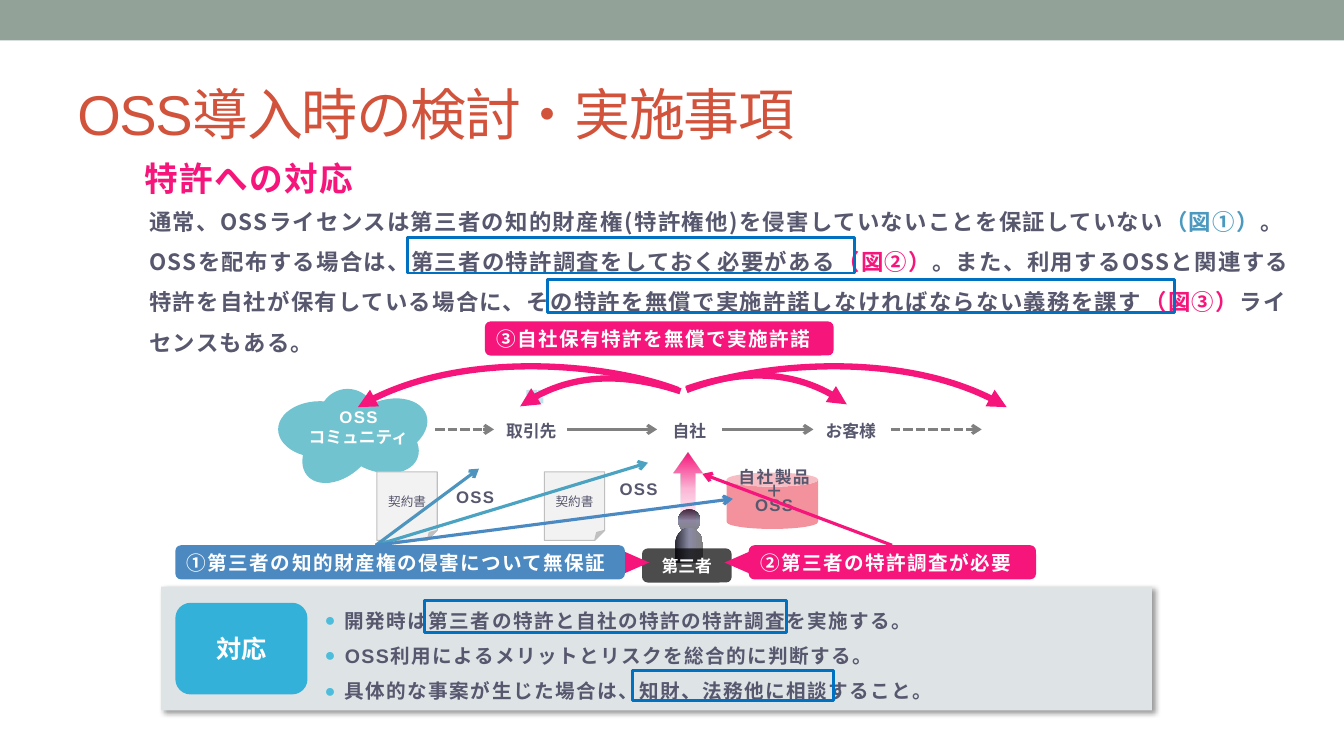
from dataclasses import dataclass
from typing import NamedTuple, Optional

from lxml.etree import SubElement
from pptx import Presentation
from pptx.dml.color import RGBColor
from pptx.enum.dml import MSO_LINE
from pptx.enum.shapes import MSO_CONNECTOR, MSO_SHAPE as Preset
from pptx.enum.text import MSO_ANCHOR as Anchor, MSO_AUTO_SIZE as AutoSize, PP_ALIGN as Align
from pptx.oxml.ns import qn
from pptx.util import Cm, Pt

COLORS = {
    "bar": "93A299", "title": "D2533C", "pink": "F6167B", "text": "57576E",
    "white": "FFFFFF", "black": "000000", "panel": "DEE4E6", "tag": "33B1D9",
    "bullet": "4DBDDB", "figure": "4C99C0", "window": "C2E2EC", "cloud": "72C3D0",
    "grey": "808080", "paper": "F2F2F2", "paper edge": "BFBFBF", "can": "F3919D",
    "night": "292934", "mauve": "8A8AA3", "blue": "4C89C0", "frame": "0070C0",
    "teal arrow": "4BA2C1", "sky arrow": "4D94BF", "blue arrow": "4A89C2",
}
LATIN, JAPANESE = "Arial", "Noto Sans CJK JP"


class Box(NamedTuple):
    left: float
    top: float
    width: float
    height: float


class Span(NamedTuple):
    text: str
    color: Optional[str] = None
    spacing: Optional[float] = None


class Stop(NamedTuple):
    position: int
    color: str
    alpha: int = 100


@dataclass
class Arrow:
    start: tuple
    end: tuple
    color: str = "grey"
    dashed: bool = False


@dataclass
class Label:
    text: str
    box: Box
    fill: str


def rgb(name):
    return RGBColor.from_string(COLORS[name])


def lengths(values):
    return [Cm(value) for value in values]


def write(shape, lines, *, size, color="text", font=LATIN, bold=True, spacing=0, align=Align.LEFT,
          anchor=Anchor.TOP, insets=(0.25, 0.13), wrap=True, line=None, after=0, bullet=False):
    """Each line is a string or a list of Span; insets are (sides, top and bottom) in cm."""
    frame = shape.text_frame
    frame.auto_size, frame.word_wrap, frame.vertical_anchor = AutoSize.NONE, wrap, anchor
    frame.margin_left = frame.margin_right = Cm(insets[0])
    frame.margin_top = frame.margin_bottom = Cm(insets[1])
    for number, content in enumerate(lines):
        para = frame.add_paragraph() if number else frame.paragraphs[0]
        if bullet:
            add_bullet(para)
        para.alignment, para.line_spacing = align, line
        para.space_before, para.space_after = Pt(0), Pt(after)
        for span in [Span(content)] if isinstance(content, str) else content:
            run = para.add_run()
            run.text = span.text
            run.font.size, run.font.bold, run.font.name = Pt(size), bold, font
            run.font.color.rgb = rgb(span.color or color)
            properties = run.font._element
            tracking = spacing if span.spacing is None else span.spacing
            properties.set("spc", str(round(tracking * 100)))
            SubElement(properties, qn("a:ea"), typeface=JAPANESE)


def add_bullet(para):
    properties = para._p.get_or_add_pPr()
    properties.set("marL", str(Cm(0.51)))
    properties.set("indent", str(-Cm(0.51)))
    SubElement(SubElement(properties, qn("a:buClr")), qn("a:srgbClr"), val=COLORS["bullet"])
    SubElement(properties, qn("a:buSzPct"), val="93000")
    SubElement(properties, qn("a:buFont"), typeface=LATIN)
    SubElement(properties, qn("a:buChar"), char="●")


def add_shape(shapes, preset, box, fill=None, *, alpha=100, line=None, width=0.75, rotation=0, adjust=()):
    shape = shapes.add_shape(preset, *lengths(box))
    shape.shadow.inherit = False
    shape.rotation = rotation
    for index, value in enumerate(adjust):
        shape.adjustments[index] = value
    if fill:
        shape.fill.solid()
        shape.fill.fore_color.rgb = rgb(fill)
        if alpha < 100:
            color = next(shape.element.spPr.iter(qn("a:srgbClr")))
            SubElement(color, qn("a:alpha"), val=str(alpha * 1000))
    else:
        shape.fill.background()
    if line:
        shape.line.color.rgb, shape.line.width = rgb(line), Pt(width)
    else:
        shape.line.fill.background()
    return shape


def add_text(shapes, box, lines, **style):
    write(shapes.add_textbox(*lengths(box)), lines, **style)


def fill_gradient(shape, stops):
    """Fill from top to bottom through any number of stops, each with its own opacity."""
    shape.fill.gradient()
    gradient = shape.element.spPr.find(qn("a:gradFill"))
    gradient.find(qn("a:lin")).set("ang", str(90 * 60000))
    stop_list = gradient.find(qn("a:gsLst"))
    for old in list(stop_list):
        stop_list.remove(old)
    for stop in stops:
        item = SubElement(stop_list, qn("a:gs"), pos=str(stop.position * 1000))
        color = SubElement(item, qn("a:srgbClr"), val=COLORS[stop.color])
        SubElement(color, qn("a:alpha"), val=str(stop.alpha * 1000))


def format_arrow(shape, color, width, head, dashed=False):
    shape.line.color.rgb, shape.line.width = rgb(color), Pt(width)
    if dashed:
        shape.line.dash_style = MSO_LINE.SQUARE_DOT
    SubElement(shape.line._get_or_add_ln(), qn("a:tailEnd"), type=head)


def add_arrow(shapes, arrow):
    connector = shapes.add_connector(MSO_CONNECTOR.STRAIGHT, *lengths(arrow.start + arrow.end))
    format_arrow(connector, arrow.color, 2.25, "arrow", arrow.dashed)
    SubElement(connector.element.spPr, qn("a:effectLst"))


def add_curve(shapes, start, *controls_and_end):
    """Draw one Bézier arrow by joining three straight segments into a cubic one."""
    builder = shapes.build_freeform(*lengths(start), scale=1.0)
    builder.add_line_segments([lengths(point) for point in controls_and_end], close=False)
    curve = builder.convert_to_shape()
    curve.shadow.inherit = False
    curve.fill.background()
    outline = next(curve.element.iter(qn("a:path")))
    segments = outline.findall(qn("a:lnTo"))
    cubic = SubElement(outline, qn("a:cubicBezTo"))
    for segment in segments:
        cubic.append(segment[0])
        outline.remove(segment)
    format_arrow(curve, "pink", 4.5, "triangle")


def add_heading_and_body(slide):
    shapes, title = slide.shapes, slide.shapes.title
    add_shape(shapes, Preset.RECTANGLE, Box(0, 0, 33.87, 1.02), "bar")
    title.left, title.top, title.width, title.height = lengths(Box(1.7, 1.47, 30.48, 2.74))
    write(title, ["OSS導入時の検討・実施事項"], size=40, color="title", bold=False, spacing=-1, anchor=Anchor.MIDDLE)
    add_text(shapes, Box(3.4, 3.86, 5.87, 1.27), ["特許への対応"], size=24, color="pink", spacing=1, wrap=False)
    add_text(shapes, Box(3.76, 4.8, 28.85, 1.93), [[
        Span("通常、OSSライセンスは第三者の知的財産権(特許権他)を侵害していないことを保証していない"),
        Span("（図①）", "figure"),
        Span("。OSSを配布する場合は、第三者の特許調査をしておく必要がある"),
        Span("（図②）", "pink"),
        Span("。また、利用するOSSと関連する特許を自社が保有している場合に、"
             "その特許を無償で実施許諾しなければならない義務を課す"),
        Span("（図③）", "pink"), Span("ライセンスもある。"),
    ]], size=16, font=JAPANESE, spacing=1, insets=(0, 0.1), line=1.5)


def add_response(slide):
    shapes, actions = slide.shapes, slide.placeholders[1]
    panel = add_shape(shapes, Preset.RECTANGLE, Box(4.06, 14.78, 24.97, 3.12), "panel")
    effects = panel.element.spPr.find(qn("a:effectLst"))
    shadow = SubElement(effects, qn("a:outerShdw"), blurRad=str(Pt(4)), dist=str(Pt(3)), dir=str(45 * 60000))
    SubElement(SubElement(shadow, qn("a:srgbClr"), val=COLORS["black"]), qn("a:alpha"), val="40000")
    tag = add_shape(shapes, Preset.ROUNDED_RECTANGLE, Box(4.42, 15.19, 3.33, 2.31), "tag")
    write(tag, ["対応"], size=18, color="white", align=Align.CENTER, anchor=Anchor.MIDDLE, insets=(0.3, 0))
    tag.element.addnext(actions.element)
    actions.left, actions.top, actions.width, actions.height = lengths(Box(8.18, 15.04, 18.8, 2.84))
    write(actions, ["開発時は第三者の特許と自社の特許の特許調査を実施する。",
                    "OSS利用によるメリットとリスクを総合的に判断する。",
                    "具体的な事案が生じた場合は、知財、法務他に相談すること。"],
          size=14, spacing=1, insets=(0, 0), line=1.5, bullet=True)


def add_supply_chain(shapes):
    centred = dict(align=Align.CENTER, anchor=Anchor.MIDDLE, insets=(0, 0))
    small = dict(size=12, spacing=1, align=Align.CENTER)
    for row in range(2):
        for column in range(3):
            window = Box(13.26 + 0.15 * column, 9.83 + 0.2 * row, 0.14, 0.13)
            add_shape(shapes, Preset.TRAPEZOID, window, "window", rotation=270, adjust=[0.02])
    for left, top, width, rotation in [(8.05, 9.8, 1.42, 0), (7.01, 10.11, 2.11, 0), (8.69, 10.08, 2.11, 341.8),
                                       (8.48, 10.46, 2.11, 20.3), (7.49, 10.59, 2.11, 319.5)]:
        add_shape(shapes, Preset.OVAL, Box(left, top, width, 1.42), "cloud", rotation=rotation)
    add_text(shapes, Box(7.09, 10.11, 3.89, 1.27), ["OSS", [Span("コミュニティ", spacing=0)]], color="white", **small)
    for party, left, width in [("取引先", 12.45, 1.88), ("自社", 16.56, 1.63), ("お客様", 20.5, 1.88)]:
        box = Box(left, 10.49, width, 0.74)
        write(add_shape(shapes, Preset.ROUNDED_RECTANGLE, box, "white", alpha=89), [party],
              size=12, font=JAPANESE, **centred)
    for left, right, dashed in [(10.97, 12.45, True), (14.3, 16.56, False), (18.19, 20.5, False), (22.45, 24.74, True)]:
        add_arrow(shapes, Arrow((left, 10.82), (right, 10.82), dashed=dashed))
    for left, note in [(9.5, Box(10.97, 12.29, 2.01, 0.61)), (13.72, Box(15.09, 12.09, 2.01, 0.61))]:
        contract = add_shape(shapes, Preset.FOLDED_CORNER, Box(left, 11.89, 1.52, 1.73), "paper", line="paper edge")
        write(contract, ["契約書"], size=9, bold=False, **centred)
        add_text(shapes, note, ["OSS"], line=Pt(10), **small)
    add_shape(shapes, Preset.CAN, Box(18.31, 11.91, 2.31, 1.42), "can")
    add_text(shapes, Box(17.68, 11.79, 3.66, 1.32), ["自社製品", "＋", "OSS"], line=Pt(10), **small)
    add_curve(shapes, (17.15, 9.86), (16.05, 9.5), (14.45, 9.27), (13.11, 10.24))
    add_curve(shapes, (17.09, 9.83), (15.44, 9.19), (11.51, 8.76), (9.02, 10.26))
    add_curve(shapes, (17.3, 9.8), (18.39, 9.42), (19.99, 9.19), (21.34, 10.19))
    add_curve(shapes, (17.3, 9.83), (18.95, 9.19), (22.89, 8.76), (25.37, 10.26))


def add_third_party(shapes):
    head = add_shape(shapes, Preset.OVAL, Box(17.09, 12.83, 0.56, 0.58))
    torso = add_shape(shapes, Preset.FLOWCHART_DELAY, Box(16.92, 13.39, 0.89, 0.71), rotation=270)
    for part in (head, torso):
        fill_gradient(part, [Stop(0, "night"), Stop(50, "mauve"), Stop(100, "grey")])
    name = add_shape(shapes, Preset.ROUNDED_RECTANGLE, Box(16.18, 13.82, 2.26, 0.86), "black", alpha=70)
    write(name, ["第三者"], size=12, color="white", align=Align.CENTER, anchor=Anchor.MIDDLE, after=3)
    claim = add_shape(shapes, Preset.UP_ARROW, Box(16.97, 11.4, 0.74, 1.83), adjust=[0.5, 0.72])
    fill_gradient(claim, [Stop(0, "pink"), Stop(50, "pink", 31), Stop(100, "pink", 0)])


def add_callouts(shapes):
    origin = (9.47, 13.74)
    for arrow in [Arrow(origin, (16.33, 11.66), "teal arrow"), Arrow(origin, (12.07, 11.81), "sky arrow"),
                  Arrow(origin, (18.47, 12.57), "blue arrow")]:
        add_arrow(shapes, arrow)
    for left, rotation in [(15.6, 90), (18.31, 270)]:
        add_shape(shapes, Preset.ISOSCELES_TRIANGLE, Box(left, 13.77, 0.71, 0.81), "pink", rotation=rotation)
    for label in [Label("③自社保有特許を無償で実施許諾", Box(12.22, 8.1, 8.79, 0.86), "pink"),
                  Label("②第三者の特許調査が必要", Box(18.87, 13.74, 7.24, 0.86), "pink"),
                  Label("①第三者の知的財産権の侵害について無保証", Box(4.42, 13.74, 11.33, 0.86), "blue")]:
        plate = add_shape(shapes, Preset.ROUNDED_RECTANGLE, label.box, label.fill)
        write(plate, [label.text], size=14, color="white", spacing=1, anchor=Anchor.MIDDLE)
    add_arrow(shapes, Arrow((22.48, 13.74), (17.7, 11.94), "pink"))


def main():
    deck = Presentation()
    deck.slide_width, deck.slide_height = Cm(33.87), Cm(19.05)
    slide = deck.slides.add_slide(deck.slide_layouts[1])
    add_heading_and_body(slide)
    add_response(slide)
    add_supply_chain(slide.shapes)
    add_third_party(slide.shapes)
    add_callouts(slide.shapes)
    for frame in [Box(10.26, 5.99, 11.28, 0.89), Box(13.79, 7.04, 15.82, 0.84),
                  Box(10.69, 15.14, 9.14, 0.81), Box(15.95, 16.89, 5.05, 0.76)]:
        add_shape(slide.shapes, Preset.RECTANGLE, frame, line="frame", width=2.08)
    deck.save("out.pptx")


if __name__ == "__main__":
    main()
